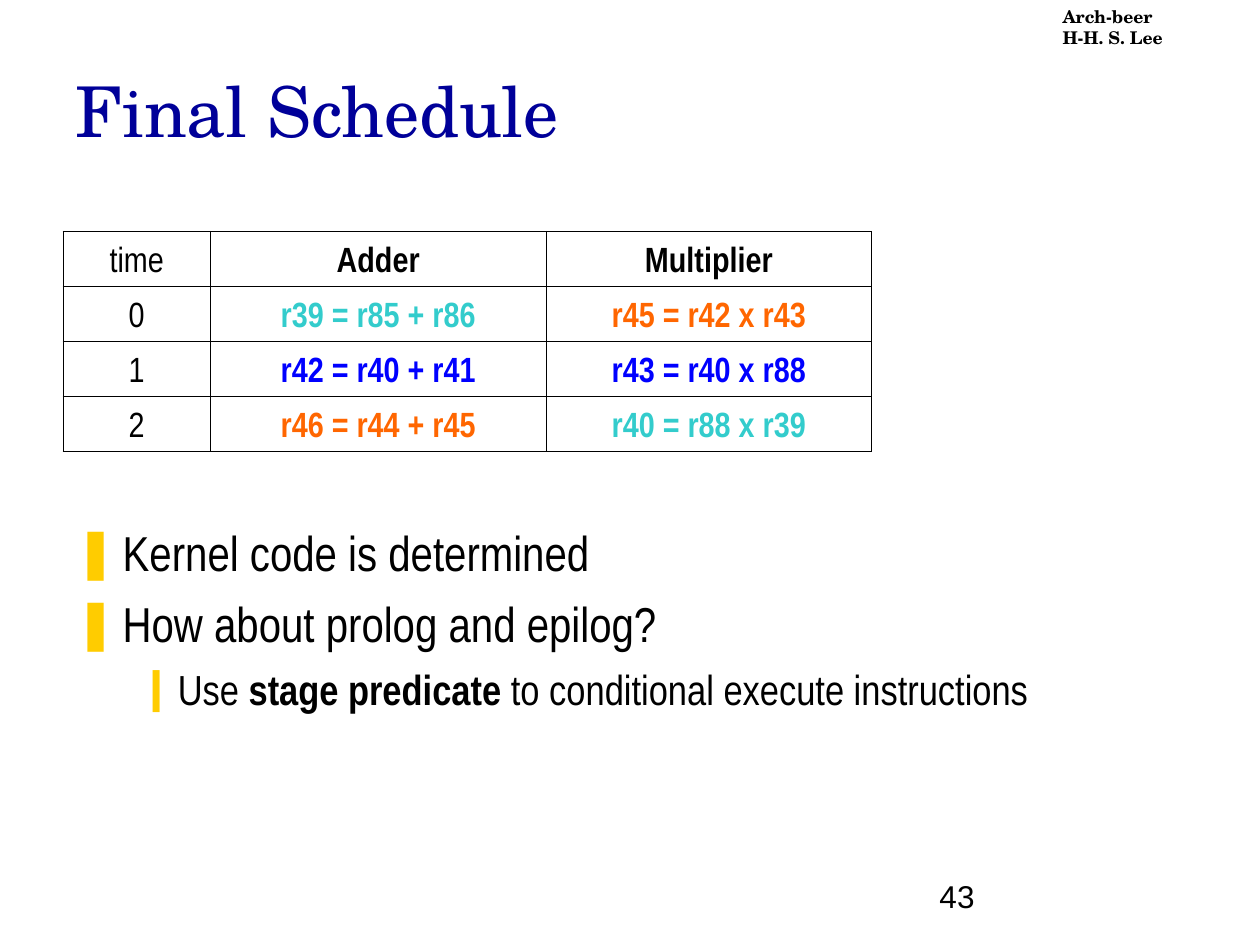
"""Builds the "Final Schedule" slide: a schedule table above a bulleted list."""
from lxml.etree import SubElement
from pptx import Presentation
from pptx.dml.color import RGBColor as RGB
from pptx.enum.text import MSO_ANCHOR as ANCHOR, MSO_AUTO_SIZE as AUTO, PP_ALIGN as ALIGN
from pptx.oxml.ns import qn
from pptx.util import Cm, Pt

COLORS = {"black": "000000", "navy": "000099", "gold": "FFCC00",
          "teal": "33CCCC", "orange": "FF6600", "blue": "0000FF"}
SERIF, NARROW = "TeX Gyre Schola", "Arial Narrow"


def add_run(p, text, color="black", **fmt):
    r = p.add_run()
    r.text = text
    r.font.color.rgb = RGB.from_string(COLORS[color])
    for name, value in fmt.items():
        setattr(r.font, name, value)


def place(sp, left, top, width, height, anchor):
    sp.left, sp.top, sp.width, sp.height = Cm(left), Cm(top), Cm(width), Cm(height)
    tf = sp.text_frame
    for name, value in {"word_wrap": True, "auto_size": AUTO.NONE, "vertical_anchor": anchor}.items():
        setattr(tf, name, value)
    return tf


prs = Presentation()
prs.slide_width, prs.slide_height = Cm(25.4), Cm(19.05)
s = prs.slides.add_slide(prs.slide_layouts[1])

tf = place(s.shapes.title, 1.27, 0.85, 21.59, 2.33, ANCHOR.BOTTOM)
tf.paragraphs[0].alignment = ALIGN.LEFT
add_run(tf.paragraphs[0], "Final Schedule", "navy", name=SERIF, size=Pt(40), bold=False)

tf = place(s.shapes.add_textbox(0, 0, 0, 0), 21.17, 0, 4.23, 1.11, ANCHOR.TOP)
for i, line in enumerate(["Arch-beer", "H-H. S. Lee"]):
    p = tf.add_paragraph() if i else tf.paragraphs[0]
    add_run(p, line, name=SERIF, size=Pt(10), bold=True)

rows = [
    [("time", "black"), ("Adder", "black"), ("Multiplier", "black")],
    [("0", "black"), ("r39 = r85 + r86", "teal"), ("r45 = r42 x r43", "orange")],
    [("1", "black"), ("r42 = r40 + r41", "blue"), ("r43 = r40 x r88", "blue")],
    [("2", "black"), ("r46 = r44 + r45", "orange"), ("r40 = r88 x r39", "teal")],
]
widths, row_height = [2.97, 6.77, 6.56], 1.11
table = s.shapes.add_table(len(rows), len(widths), Cm(1.27), Cm(4.66),
                           Cm(sum(widths)), Cm(row_height * len(rows))).table
table.first_row = table.horz_banding = False
for column, width in zip(table.columns, widths):
    column.width = Cm(width)
for i, row in enumerate(rows):
    table.rows[i].height = Cm(row_height)
    for j, (text, color) in enumerate(row):
        cell = table.cell(i, j)
        cell.vertical_anchor = ANCHOR.BOTTOM
        p = cell.text_frame.paragraphs[0]
        p.alignment = ALIGN.CENTER
        add_run(p, text, color, name=NARROW, size=Pt(20), bold=j > 0)
        tcPr = cell._tc.get_or_add_tcPr()
        for side in ("a:lnL", "a:lnR", "a:lnT", "a:lnB"):
            ln = SubElement(tcPr, qn(side), w=str(Pt(0.45)))
            SubElement(SubElement(ln, qn("a:solidFill")), qn("a:srgbClr"), val=COLORS["black"])
        cell.fill.background()

levels = [
    {"bullet": "❚", "left": 0.95, "hang": 0.95, "size": 28, "before": 7},
    {"bullet": "❙", "left": 2.06, "hang": 0.79, "size": 24, "before": 6},
]
points = [
    (0, [("Kernel code is determined", False)]),
    (0, [("How about prolog and epilog?", False)]),
    (1, [("Use ", False), ("stage predicate", True),
         (" to conditional execute instructions", False)]),
]
tf = place(s.placeholders[1], 1.27, 10.41, 23.29, 6.4, ANCHOR.TOP)
for i, (level, parts) in enumerate(points):
    p = tf.add_paragraph() if i else tf.paragraphs[0]
    style = levels[level]
    p.level = level
    pPr = p._p.get_or_add_pPr()
    pPr.set("marL", str(Cm(style["left"])))
    pPr.set("indent", str(-Cm(style["hang"])))
    SubElement(SubElement(pPr, qn("a:buClr")), qn("a:srgbClr"), val=COLORS["gold"])
    SubElement(pPr, qn("a:buChar"), char=style["bullet"])
    p.space_before = Pt(style["before"] if i else 0)
    for text, bold in parts:
        add_run(p, text, name=NARROW, size=Pt(style["size"]), bold=bold)

tf = place(s.shapes.add_textbox(0, 0, 0, 0), 18.69, 17.3, 5.28, 1.27, ANCHOR.BOTTOM)
add_run(tf.paragraphs[0], "43", name="Arial", size=Pt(18))

prs.save("out.pptx")
